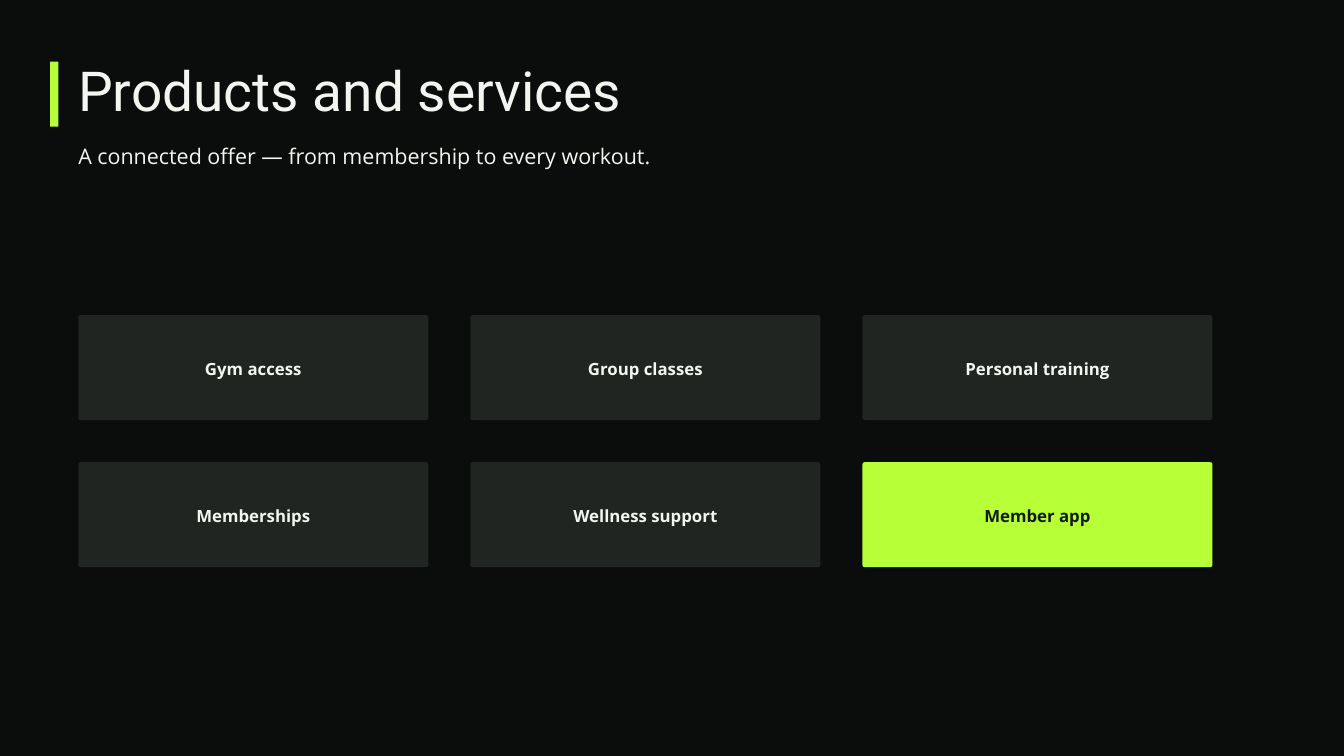
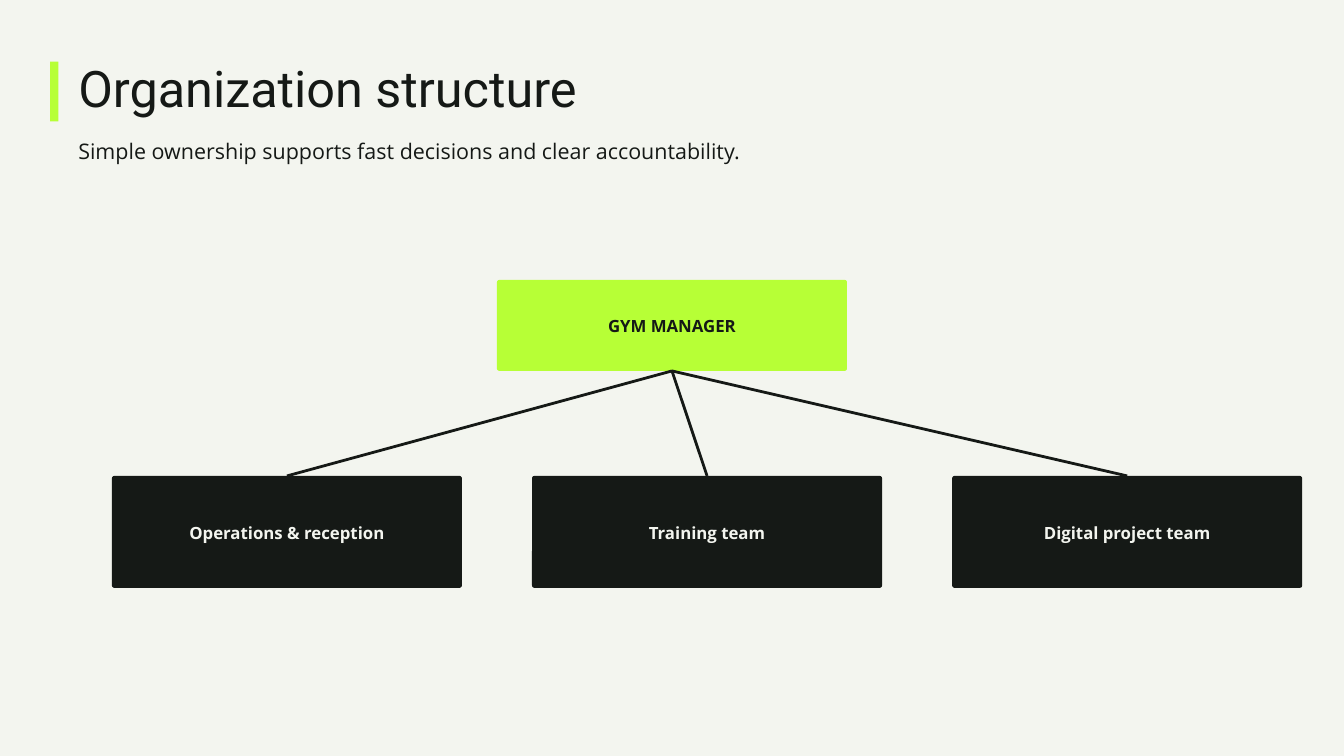
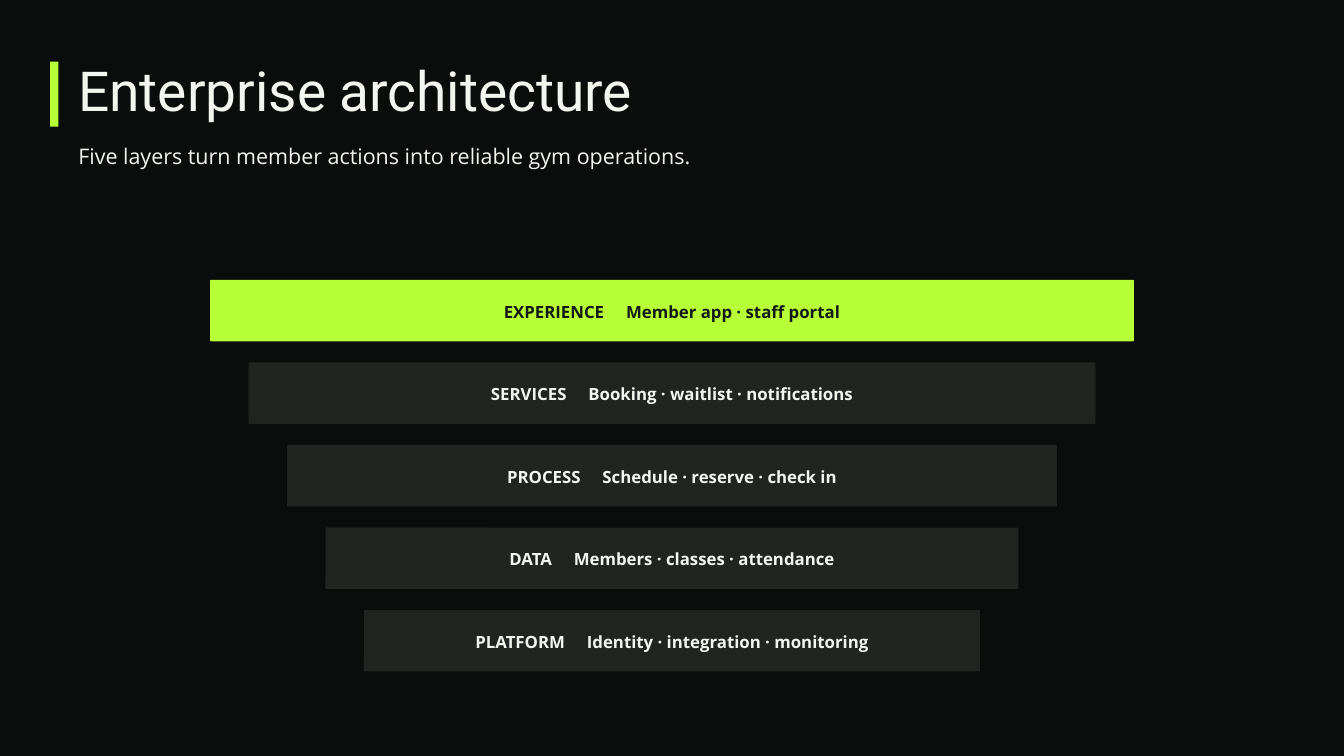
from dataclasses import dataclass

from lxml import etree
from pptx import Presentation
from pptx.dml.color import RGBColor
from pptx.enum.shapes import MSO_CONNECTOR, MSO_SHAPE
from pptx.enum.text import MSO_ANCHOR, PP_ALIGN
from pptx.oxml.ns import qn
from pptx.util import Cm, Pt

RECT, ROUNDED = MSO_SHAPE.RECTANGLE, MSO_SHAPE.ROUNDED_RECTANGLE
STRAIGHT = MSO_CONNECTOR.STRAIGHT
MIDDLE = MSO_ANCHOR.MIDDLE
LEFT, CENTER = PP_ALIGN.LEFT, PP_ALIGN.CENTER


@dataclass(frozen=True)
class Theme:
    # Colours
    night: RGBColor = RGBColor.from_string("0B0D0C")
    paper: RGBColor = RGBColor.from_string("F3F5EF")
    ink: RGBColor = RGBColor.from_string("151916")
    panel: RGBColor = RGBColor.from_string("202521")
    lime: RGBColor = RGBColor.from_string("B7FF36")
    # Text styles: font, size, line spacing, bold
    title_large: tuple = ("Roboto", 59, 59.6, False)
    title_small: tuple = ("Roboto", 54, 55.1, False)
    subtitle: tuple = ("Open Sans", 23, 30.4, False)
    label: tuple = ("Open Sans", 18, 25.2, True)


theme = Theme()
SLIDE_W = 50.8
MARGIN = 2.96
BOX_W = 13.23


def set_text(sp, text, style, color, align=LEFT):
    """Write one styled paragraph and return it."""
    font, size, spacing, bold = style
    sp.text_frame.word_wrap = True
    p = sp.text_frame.paragraphs[0]
    p.add_run().text = text
    p.alignment = align
    p.line_spacing = Pt(spacing)
    p.font.name, p.font.size, p.font.bold = font, Pt(size), bold
    p.font.color.rgb = color
    return p


def add_box(s, x, y, w, h, fill, radius=0.0):
    """Draw a filled box, with rounded corners if a radius is given."""
    sp = s.shapes.add_shape(ROUNDED if radius else RECT, Cm(x), Cm(y), Cm(w), Cm(h))
    if radius:
        sp.adjustments[0] = radius / h
    sp.shadow.inherit = False
    sp.fill.solid()
    sp.fill.fore_color.rgb = fill
    sp.line.fill.background()
    tf = sp.text_frame
    tf.vertical_anchor = MIDDLE
    tf.margin_left = tf.margin_right = tf.margin_bottom = Cm(0.15)
    tf.margin_top = Cm(0.08)
    return sp


prs = Presentation()
prs.slide_width, prs.slide_height = Cm(SLIDE_W), Cm(SLIDE_W * 9 / 16)

# Backgrounds and headings: title, subtitle, title style, colours,
# title top, subtitle top, bar height
headings = [
    ("Products and services", "A connected offer — from membership to every workout.",
     theme.title_large, theme.night, theme.paper, 2.54, 5.29, 2.46),
    ("Organization structure",
     "Simple ownership supports fast decisions and clear accountability.",
     theme.title_small, theme.paper, theme.ink, 2.51, 5.11, 2.26),
    ("Enterprise architecture",
     "Five layers turn member actions into reliable gym operations.",
     theme.title_large, theme.night, theme.paper, 2.54, 5.29, 2.46),
]
slides = []
for title, subtitle, style, back, color, title_y, subtitle_y, bar_h in headings:
    s = prs.slides.add_slide(prs.slide_layouts[6])
    s.background.fill.solid()
    s.background.fill.fore_color.rgb = back
    for text, text_style, y, w, h in [
        (title, style, title_y, 39.7, 2.1),
        (subtitle, theme.subtitle, subtitle_y, 33.86, 1.07),
    ]:
        sp = s.shapes.add_textbox(Cm(MARGIN), Cm(y), Cm(w), Cm(h))
        tf = sp.text_frame
        tf.margin_left = tf.margin_right = tf.margin_top = tf.margin_bottom = 0
        set_text(sp, text, text_style, color)
    add_box(s, 1.9, 2.33, 0.31, bar_h, theme.lime)
    slides.append(s)
offer_slide, team_slide, layer_slide = slides

# Offer: three columns by two rows, the app highlighted
offers = ["Gym access", "Group classes", "Personal training",
          "Memberships", "Wellness support", "Member app"]
for i, offer in enumerate(offers):
    row, col = divmod(i, 3)
    fill, color = theme.panel, theme.paper
    if offer == "Member app":
        fill, color = theme.lime, theme.ink
    sp = add_box(offer_slide, MARGIN + col * 14.82, 11.91 + row * 5.56,
                 BOX_W, 3.97, fill, 0.09)
    set_text(sp, offer, theme.label, color, CENTER)

# Organization: manager above three teams
manager = add_box(team_slide, (SLIDE_W - BOX_W) / 2, 10.58, BOX_W, 3.44, theme.lime, 0.09)
set_text(manager, "GYM MANAGER", theme.label, theme.ink, CENTER)
for i, team in enumerate(["Operations & reception", "Training team",
                          "Digital project team"]):
    sp = add_box(team_slide, 4.23 + i * 15.88, 17.99, BOX_W, 4.23, theme.ink, 0.09)
    set_text(sp, team, theme.label, theme.paper, CENTER)
    link = team_slide.shapes.add_connector(STRAIGHT, 0, 0, 0, 0)
    link.begin_connect(manager, 2)
    link.end_connect(sp, 0)
    link.line.color.rgb = theme.ink
    link.line.width = Pt(3)
    etree.SubElement(link._element.spPr, qn("a:effectLst"))

# Architecture: centred layers that narrow downwards
layers = [
    ("EXPERIENCE", "Member app · staff portal"),
    ("SERVICES", "Booking · waitlist · notifications"),
    ("PROCESS", "Schedule · reserve · check in"),
    ("DATA", "Members · classes · attendance"),
    ("PLATFORM", "Identity · integration · monitoring"),
]
for i, (layer, contents) in enumerate(layers):
    fill, color = (theme.panel, theme.paper) if i else (theme.lime, theme.ink)
    w = 34.92 - i * 2.91
    sp = add_box(layer_slide, (SLIDE_W - w) / 2, 10.58 + i * 3.12, w, 2.32, fill, 0.04)
    p = set_text(sp, layer, theme.label, color, CENTER)
    # One space, widened by character spacing, parts the name from its contents
    gap = p.add_run()
    gap.text = " "
    gap._r.get_or_add_rPr().set("spc", "1870")
    p.add_run().text = contents

prs.save("out.pptx")
